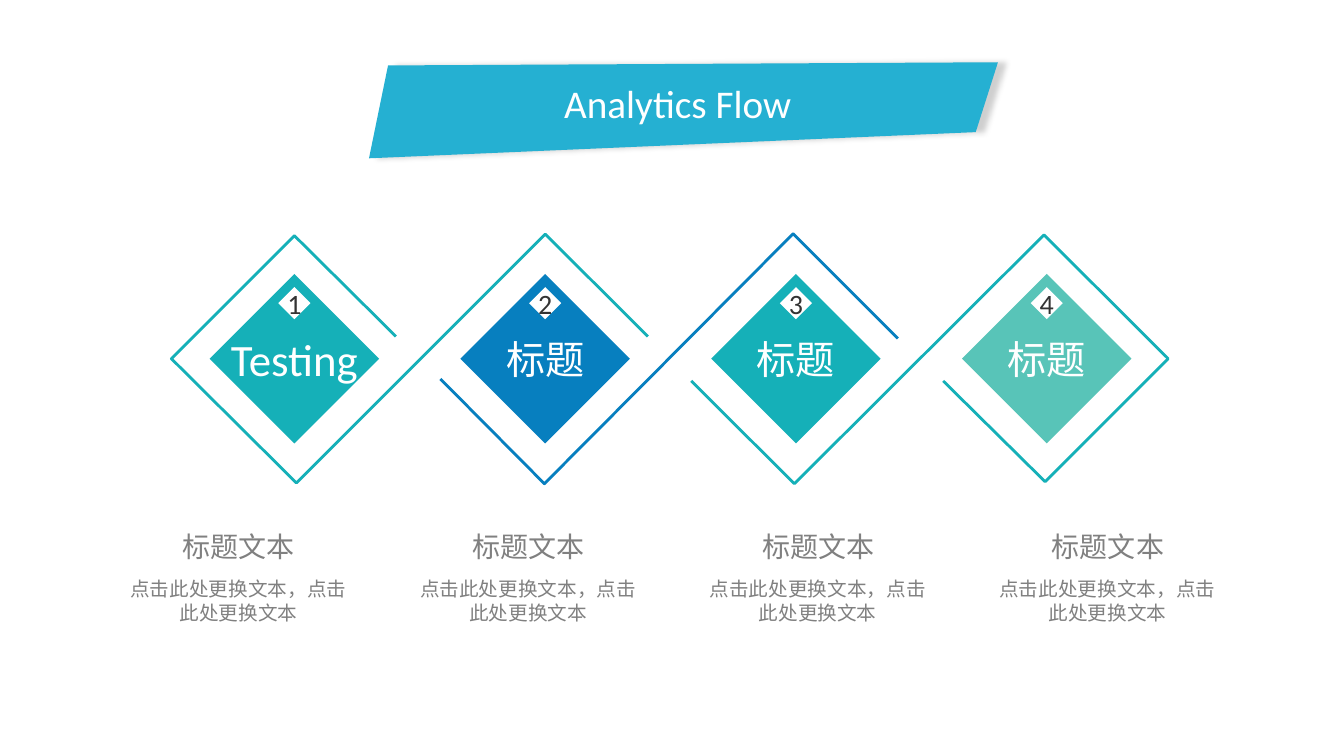
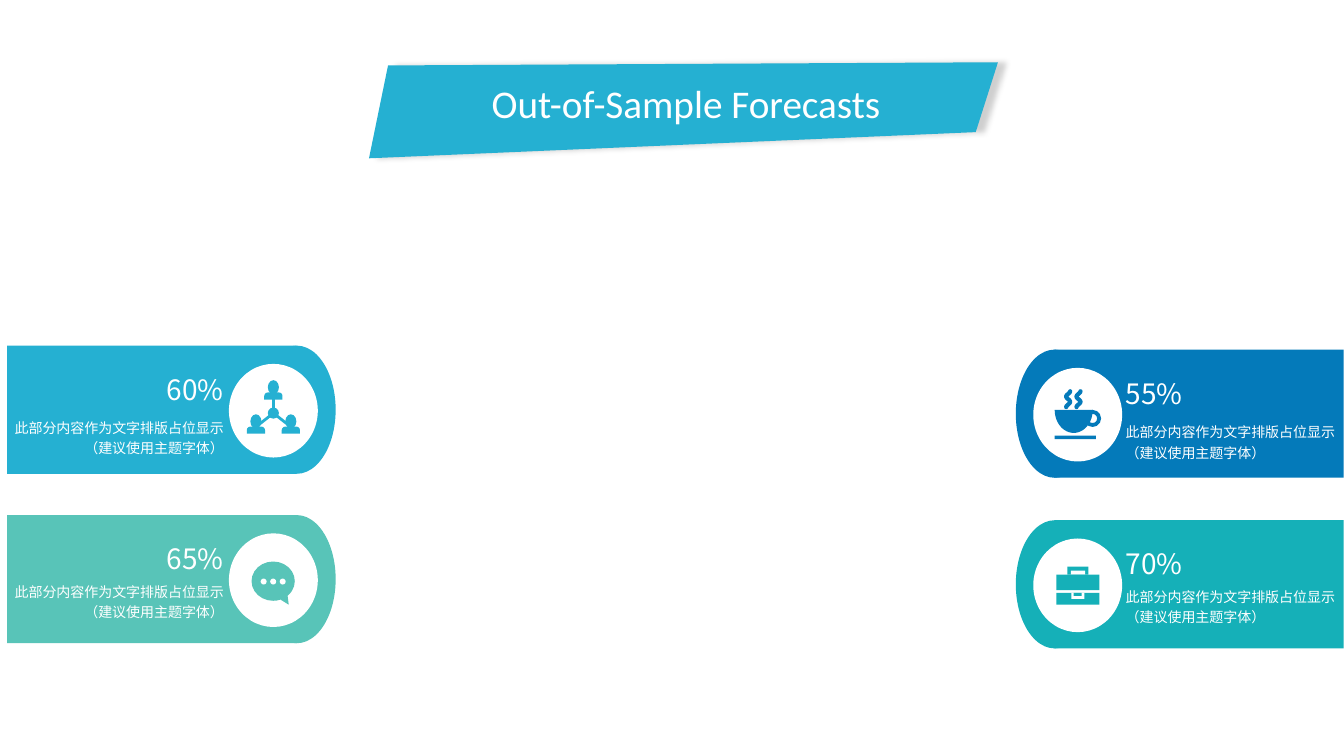
import math
from copy import deepcopy
from dataclasses import dataclass
from typing import Callable, NamedTuple, Optional

from pptx import Presentation
from pptx import slide as sl
from pptx import util as u
from pptx.dml.color import RGBColor
from pptx.enum import shapes, text
from pptx.oxml import parse_xml
from pptx.oxml.ns import nsdecls, qn
from pptx.shapes.autoshape import Shape

Cm, Pt = u.Cm, u.Pt
Kind = shapes.MSO_SHAPE
Align = text.PP_ALIGN
Anchor = text.MSO_ANCHOR


@dataclass(frozen=True)
class Theme:
    cyan: str = "25B0D2"
    teal: str = "15B0B8"
    mint: str = "58C4B8"
    blue: str = "077FBF"
    deep_blue: str = "047ABA"
    white: str = "FFFFFF"
    ink: str = "333333"
    grey: str = "808080"
    latin: str = "Calibri"
    cjk: str = "Noto Sans CJK SC"
    title: float = 28
    step_latin: float = 32
    step_cjk: float = 28
    heading: float = 20
    body: float = 14
    small: float = 10


T = Theme()


class Point(NamedTuple):
    x: float
    y: float


class Box(NamedTuple):
    x: float
    y: float
    w: float
    h: float


class Style(NamedTuple):
    size: float
    font: str
    color: str
    align: Optional[Align] = None
    spacing: Optional[float] = None


class Ribbon(NamedTuple):
    color: str
    points: list[Point]


class Step(NamedTuple):
    label: str
    color: str
    style: Style


class Part(NamedTuple):
    kind: Kind
    box: Box
    white: bool = False


@dataclass(frozen=True)
class Card:
    value: str
    color: str
    left: bool
    top: float
    body_gap: float
    icon: Callable[[sl.Slide, Point, str], None]


TITLE = Style(T.title, T.latin, T.white)
STEP = Style(T.step_cjk, T.cjk, T.white, Align.CENTER)
STEP_LATIN = Style(T.step_latin, T.latin, T.white, Align.CENTER)
BADGE = Style(T.heading, T.latin, T.ink, Align.CENTER)
CAPTION = Style(T.heading, T.cjk, T.grey)
CAPTION_BODY = Style(T.body, T.cjk, T.grey, Align.CENTER)

BANNER = [Point(9.78, 1.65), Point(9.3, 3.99), Point(24.59, 3.33), Point(25.15, 1.57)]
STEPS = [
    Step("Testing", T.teal, STEP_LATIN),
    Step("标题", T.blue, STEP),
    Step("标题", T.teal, STEP),
    Step("标题", T.mint, STEP),
]
RIBBONS = [
    Ribbon(T.teal, [Point(16.33, 8.48), Point(13.74, 5.9), Point(7.47, 12.17),
                    Point(4.32, 9.04), Point(7.42, 5.94), Point(9.98, 8.48)]),
    Ribbon(T.blue, [Point(11.1, 9.55), Point(13.72, 12.19), Point(19.99, 5.89),
                    Point(22.63, 8.53)]),
    Ribbon(T.teal, [Point(17.42, 9.6), Point(20.02, 12.19), Point(26.31, 5.92),
                    Point(29.44, 9.04), Point(26.34, 12.14), Point(23.77, 9.6)]),
]


def rgb(color: str) -> RGBColor:
    return RGBColor.from_string(color)


def set_text(s: Shape, content: str, style: Style, wrap: bool = True,
             anchor: Anchor = Anchor.TOP,
             insets: tuple[float, float] = (0.25, 0.13)) -> None:
    tf = s.text_frame
    tf.text = content
    tf.word_wrap = wrap
    tf.vertical_anchor = anchor
    tf.margin_left = tf.margin_right = Cm(insets[0])
    tf.margin_top = tf.margin_bottom = Cm(insets[1])
    for p in tf.paragraphs:
        p.alignment = style.align
        p.line_spacing = style.spacing
        for r in p.runs:
            r.font.size = Pt(style.size)
            r.font.name = style.font
            r.font.color.rgb = rgb(style.color)
            r.font._element.find(qn("a:latin")).addnext(
                parse_xml(f'<a:ea {nsdecls("a")} typeface="{style.font}"/>'))
        for br in p._p.findall(qn("a:br")):
            br.insert(0, deepcopy(p.runs[0].font._element))


def add_text(s: sl.Slide, box: Box, content: str, style: Style, grow: bool = False,
             **options) -> None:
    tb = s.shapes.add_textbox(*map(Cm, box))
    set_text(tb, content, style, **options)
    if grow:
        tb.text_frame.auto_size = text.MSO_AUTO_SIZE.SHAPE_TO_FIT_TEXT


def paint(sp: Shape, color: str) -> Shape:
    sp.shadow.inherit = False
    sp.fill.solid()
    sp.fill.fore_color.rgb = rgb(color)
    sp.line.fill.background()
    return sp


def add_shape(s: sl.Slide, kind: Kind, box: Box, color: str) -> Shape:
    return paint(s.shapes.add_shape(kind, *map(Cm, box)), color)


def outline(s: sl.Slide, points: list[Point], close: bool) -> Shape:
    start, *rest = [(Cm(p.x), Cm(p.y)) for p in points]
    builder = s.shapes.build_freeform(*start)
    builder.add_line_segments(rest, close=close)
    return builder.convert_to_shape()


def add_polygon(s: sl.Slide, points: list[Point], color: str) -> Shape:
    return paint(outline(s, points, True), color)


def add_polyline(s: sl.Slide, points: list[Point], color: str, width: float) -> Shape:
    sp = outline(s, points, False)
    sp.shadow.inherit = False
    sp.fill.background()
    sp.line.color.rgb = rgb(color)
    sp.line.width = Pt(width)
    return sp


def add_spoke(s: sl.Slide, start: Point, end: Point, color: str) -> None:
    line = s.shapes.add_connector(shapes.MSO_CONNECTOR.STRAIGHT, *map(Cm, (*start, *end)))
    line.line.color.rgb = rgb(color)
    line.line.width = Pt(2)
    line._element.spPr.append(parse_xml(f'<a:effectLst {nsdecls("a")}/>'))


def add_parts(s: sl.Slide, c: Point, color: str, parts: list[Part]) -> list[Shape]:
    return [add_shape(s, part.kind, part.box._replace(x=c.x + part.box.x, y=c.y + part.box.y),
                      T.white if part.white else color)
            for part in parts]


def network_icon(s: sl.Slide, c: Point, color: str) -> None:
    hub = Point(c.x, c.y + 0.06)
    for x, y in [(0, -0.3), (-0.33, 0.32), (0.33, 0.32)]:
        add_spoke(s, hub, Point(c.x + x, c.y + y), color)
    parts = [Part(Kind.OVAL, Box(-0.14, -0.08, 0.28, 0.28))]
    for x, y in [(0, -0.77), (-0.44, 0.09), (0.44, 0.09)]:
        parts += [Part(Kind.OVAL, Box(x - 0.14, y, 0.28, 0.36)),
                  Part(Kind.ROUND_2_SAME_RECTANGLE, Box(x - 0.23, y + 0.31, 0.46, 0.18))]
    for sp in add_parts(s, c, color, parts)[2::2]:
        sp.adjustments[0] = 0.5


def bubble_icon(s: sl.Slide, c: Point, color: str) -> None:
    dots = [Part(Kind.OVAL, Box(0.24 * i - 0.08, -0.04, 0.15, 0.15), True) for i in (-1, 0, 1)]
    bubble = Part(Kind.OVAL_CALLOUT, Box(-0.55, -0.47, 1.09, 0.99))
    sp = add_parts(s, c, color, [bubble, *dots])[0]
    sp.adjustments[0] = 0.36
    sp.adjustments[1] = 0.6


def cup_icon(s: sl.Slide, c: Point, color: str) -> None:
    arc = [math.pi * i / 24 for i in range(25)]
    add_polygon(s, [Point(c.x - 0.1 + 0.48 * math.cos(a), c.y - 0.12 + 0.58 * math.sin(a))
                    for a in arc], color)
    ring, _ = add_parts(s, c, color, [
        Part(Kind.DONUT, Box(0.16, -0.12, 0.43, 0.43)),
        Part(Kind.RECTANGLE, Box(-0.58, 0.53, 1.04, 0.09)),
    ])
    ring.adjustments[0] = 0.23
    for x in (-0.24, 0.02):
        steam = add_polyline(s, [Point(c.x + x + 0.05 * math.cos(3 * a),
                                       c.y - 0.59 + 0.4 * a / math.pi) for a in arc], color, 3)
        steam.line._ln.set("cap", "rnd")


def briefcase_icon(s: sl.Slide, c: Point, color: str) -> None:
    add_parts(s, c, color, [
        Part(Kind.RECTANGLE, Box(-0.26, -0.47, 0.53, 0.2)),
        Part(Kind.RECTANGLE, Box(-0.17, -0.37, 0.36, 0.1), True),
        Part(Kind.RECTANGLE, Box(-0.54, -0.27, 1.09, 0.39)),
        Part(Kind.RECTANGLE, Box(-0.54, 0.19, 1.09, 0.3)),
        Part(Kind.RECTANGLE, Box(-0.16, 0.19, 0.33, 0.15), True),
        Part(Kind.RECTANGLE, Box(-0.1, 0.19, 0.2, 0.08)),
    ])


CARDS = [
    Card("60%", T.cyan, True, 8.71, 1.68, network_icon),
    Card("65%", T.mint, True, 12.98, 1.55, bubble_icon),
    Card("55%", T.deep_blue, False, 8.81, 1.7, cup_icon),
    Card("70%", T.teal, False, 13.11, 1.55, briefcase_icon),
]


def add_banner(s: sl.Slide) -> None:
    sp = add_polygon(s, BANNER, T.cyan)
    sp._element.spPr.find(qn("a:effectLst")).append(parse_xml(
        f'<a:outerShdw {nsdecls("a")} blurRad="{Pt(4)}" dist="{Pt(6)}" dir="0" algn="l">'
        '<a:srgbClr val="000000"><a:alpha val="19000"/></a:srgbClr></a:outerShdw>'))
    s.slide_layout.shapes.element.append(sp._element)


def add_title(s: sl.Slide, title: str, left: float, width: float) -> None:
    add_text(s, Box(left, 1.88, width, 1.45), title, TITLE, grow=True, wrap=False)


def add_diamond(s: sl.Slide, c: Point, size: float, color: str, label: str,
                style: Style) -> None:
    sp = add_shape(s, Kind.DIAMOND, Box(c.x - size / 2, c.y - size / 2, size, size), color)
    set_text(sp, label, style, wrap=False, anchor=Anchor.MIDDLE, insets=(0, 0))


def build_flow(s: sl.Slide) -> None:
    for ribbon in RIBBONS:
        add_polyline(s, ribbon.points, ribbon.color, 2)
    for i, step in enumerate(STEPS):
        c = Point(7.42 + 6.32 * i, 9.04)
        add_diamond(s, c, 4.27, step.color, step.label, step.style)
        add_diamond(s, Point(c.x, c.y - 1.4), 0.81, T.white, str(i + 1), BADGE)
        left = 3 + 7.3 * i
        add_text(s, Box(left, 14.55, 6.02, 2.97), "点击此处更换文本，点击此处更换文本",
                 CAPTION_BODY, insets=(0.25, 0))
        add_text(s, Box(left + 1.36, 13.21, 3.35, 1.12), "标题文本", CAPTION,
                 grow=True, wrap=False)
    add_title(s, "Analytics Flow", 13.97, 6.3)


def add_card(s: sl.Slide, card: Card) -> None:
    body_x, cap_x, disc_x, text_x = (
        (0.18, 6.5, 5.77, 0.18) if card.left else (26.57, 25.6, 26.04, 28.37))
    align = Align.RIGHT if card.left else Align.LEFT
    add_shape(s, Kind.RECTANGLE, Box(body_x, card.top, 7.29, 3.23), card.color)
    add_shape(s, Kind.OVAL, Box(cap_x, card.top, 1.96, 3.23), card.color)
    add_shape(s, Kind.OVAL, Box(disc_x, card.top + 0.46, 2.24, 2.36), T.white)
    card.icon(s, Point(disc_x + 1.12, card.top + 1.64), card.color)
    add_text(s, Box(text_x, card.top + 0.5, 5.46, 1.19), card.value,
             Style(T.heading, T.cjk, T.white, align),
             wrap=False, anchor=Anchor.MIDDLE, insets=(0, 0))
    add_text(s, Box(text_x, card.top + card.body_gap, 5.46, 1.19),
             "此部分内容作为文字排版占位显示\v（建议使用主题字体）",
             Style(T.small, T.cjk, T.white, align, 1.2), anchor=Anchor.MIDDLE, insets=(0, 0))


def build_forecasts(s: sl.Slide) -> None:
    for card in CARDS:
        add_card(s, card)
    add_title(s, "Out-of-Sample Forecasts", 12.14, 10.41)


def main() -> None:
    prs = Presentation()
    prs.slide_width, prs.slide_height = Cm(33.87), Cm(19.05)
    flow, forecasts = [prs.slides.add_slide(prs.slide_layouts[6]) for _ in range(2)]
    add_banner(flow)
    build_flow(flow)
    build_forecasts(forecasts)
    prs.save("out.pptx")


if __name__ == "__main__":
    main()
